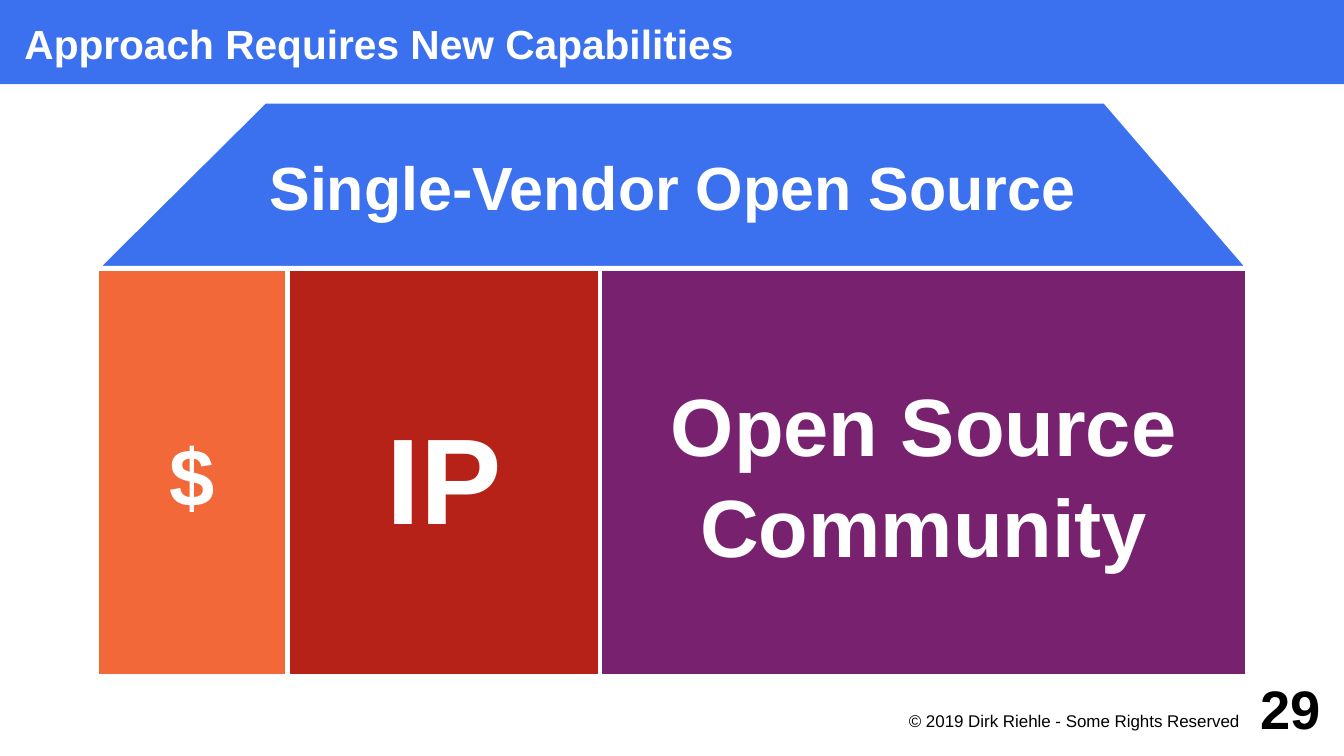
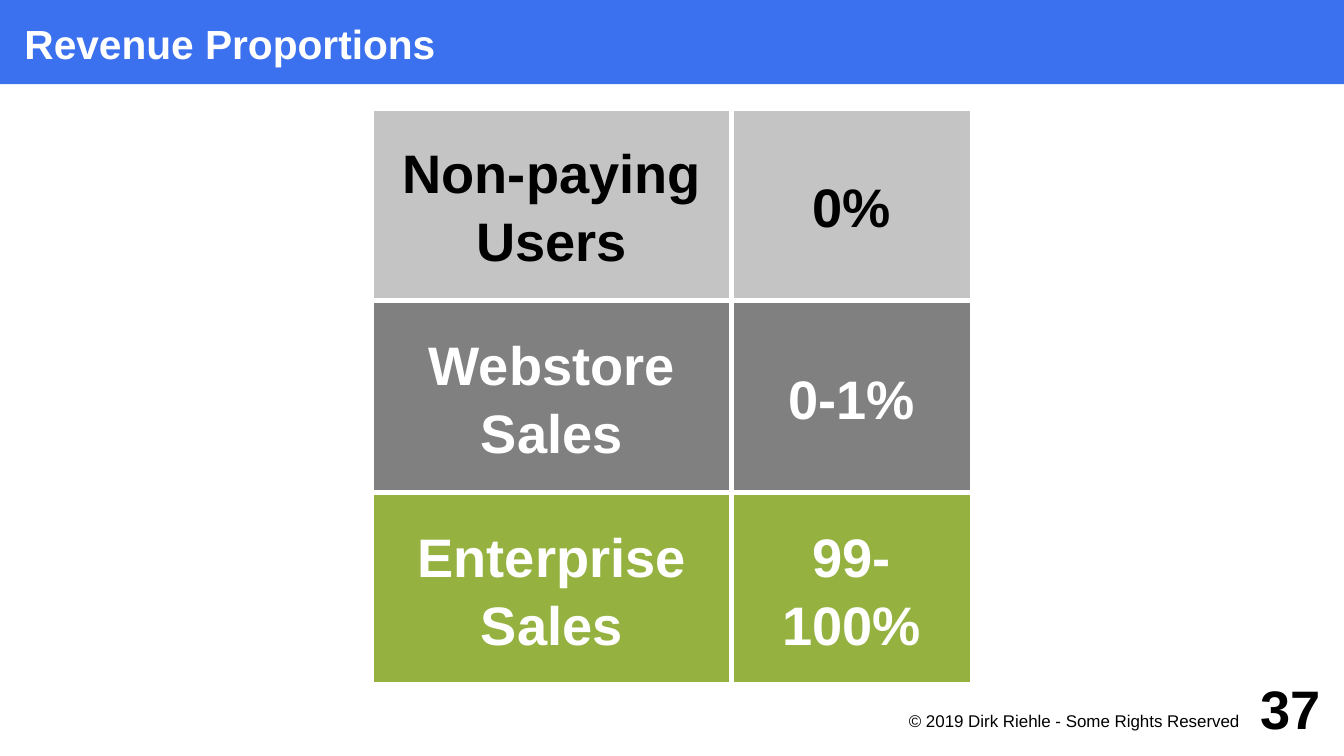
from pptx import Presentation
from pptx.dml.color import RGBColor
from pptx.enum.shapes import MSO_SHAPE
from pptx.enum.text import MSO_ANCHOR, PP_ALIGN
from pptx.util import Inches, Pt

WHITE = RGBColor(0xFF, 0xFF, 0xFF)
BLACK = RGBColor(0x00, 0x00, 0x00)
BLUE = RGBColor(0x3B, 0x70, 0xEE)
ORANGE = RGBColor(0xF3, 0x68, 0x38)
RED = RGBColor(0xB6, 0x21, 0x18)
PURPLE = RGBColor(0x77, 0x21, 0x6F)
SILVER = RGBColor(0xC4, 0xC4, 0xC4)
GRAY = RGBColor(0x80, 0x80, 0x80)
GREEN = RGBColor(0x95, 0xB2, 0x41)
FONT = "Arial"
COPYRIGHT = "© 2019 Dirk Riehle - Some Rights Reserved"


def write(shape, text, size, color=WHITE, bold=True, align=PP_ALIGN.CENTER,
          anchor=MSO_ANCHOR.MIDDLE, insets=(0.08, 0.08, 0.08, 0.08), wrap=True, spacing=1.04):
    frame = shape.text_frame
    frame.text = text
    frame.word_wrap = wrap
    frame.vertical_anchor = anchor
    (frame.margin_left, frame.margin_top,
     frame.margin_right, frame.margin_bottom) = [Inches(inset) for inset in insets]
    for paragraph in frame.paragraphs:
        paragraph.alignment = align
        paragraph.line_spacing = spacing
        for run in paragraph.runs:
            run.font.name = FONT
            run.font.size = Pt(size)
            run.font.bold = bold
            run.font.color.rgb = color


def paint(shape, fill, outlined=True):
    shape.shadow.inherit = False
    shape.fill.solid()
    shape.fill.fore_color.rgb = fill
    if outlined:
        shape.line.color.rgb = WHITE
        shape.line.width = Pt(2.83)
    else:
        shape.line.fill.background()


prs = Presentation()
prs.slide_width = Inches(11.02)
prs.slide_height = Inches(6.2)

slides = []
for title, number in [("Approach Requires New Capabilities", "29"), ("Revenue Proportions", "37")]:
    slide = prs.slides.add_slide(prs.slide_layouts[6])
    band = slide.shapes.add_shape(MSO_SHAPE.RECTANGLE, 0, 0, prs.slide_width, Inches(0.69))
    paint(band, BLUE, outlined=False)
    write(band, title, 24, align=PP_ALIGN.LEFT, insets=(0.2, 0, 0, 0))
    footer = slide.shapes.add_textbox(Inches(7.09), Inches(5.81), Inches(3.15), Inches(0.3))
    write(footer, COPYRIGHT, 10, BLACK, bold=False, align=PP_ALIGN.RIGHT,
          anchor=MSO_ANCHOR.TOP, insets=(0, 0.02, 0.08, 0), spacing=1.0)
    page = slide.shapes.add_textbox(Inches(10.04), Inches(5.51), Inches(0.79), Inches(0.59))
    write(page, number, 32, BLACK, align=PP_ALIGN.RIGHT, insets=(0, 0, 0, 0), spacing=1.0)
    slides.append(slide)
capabilities, revenue = slides

house_left, house_right, roof_top, roof_bottom = 0.79, 10.24, 0.83, 2.2
outline = capabilities.shapes.build_freeform(Inches(house_left), Inches(roof_bottom))
outline.add_line_segments([(Inches(x), Inches(y)) for x, y in [
    (2.17, roof_top), (9.06, roof_top), (house_right, roof_bottom)]], close=True)
roof = outline.convert_to_shape()
paint(roof, BLUE)
write(roof, "Single-Vendor Open Source", 36)

left = house_left
for text, width, size, fill in [("$", 1.57, 48, ORANGE), ("IP", 2.56, 72, RED),
                                ("Open Source Community", 5.31, 48, PURPLE)]:
    pillar = capabilities.shapes.add_shape(
        MSO_SHAPE.RECTANGLE, Inches(left), Inches(roof_bottom), Inches(width), Inches(3.35))
    paint(pillar, fill)
    write(pillar, text, size)
    left += width

row_height = 1.575
for row, (source, share, fill, color) in enumerate([
        ("Non-paying\nUsers", "0%", SILVER, BLACK),
        ("Webstore\nSales", "0-1%", GRAY, WHITE),
        ("Enterprise\nSales", "99-\v100%", GREEN, WHITE)]):
    for text, left, width in [(source, 3.05, 2.95), (share, 6, 1.97)]:
        cell = revenue.shapes.add_shape(
            MSO_SHAPE.RECTANGLE, Inches(left), Inches(0.89 + row * row_height),
            Inches(width), Inches(row_height))
        paint(cell, fill)
        write(cell, text, 32, color, wrap=False)

prs.save("out.pptx")
